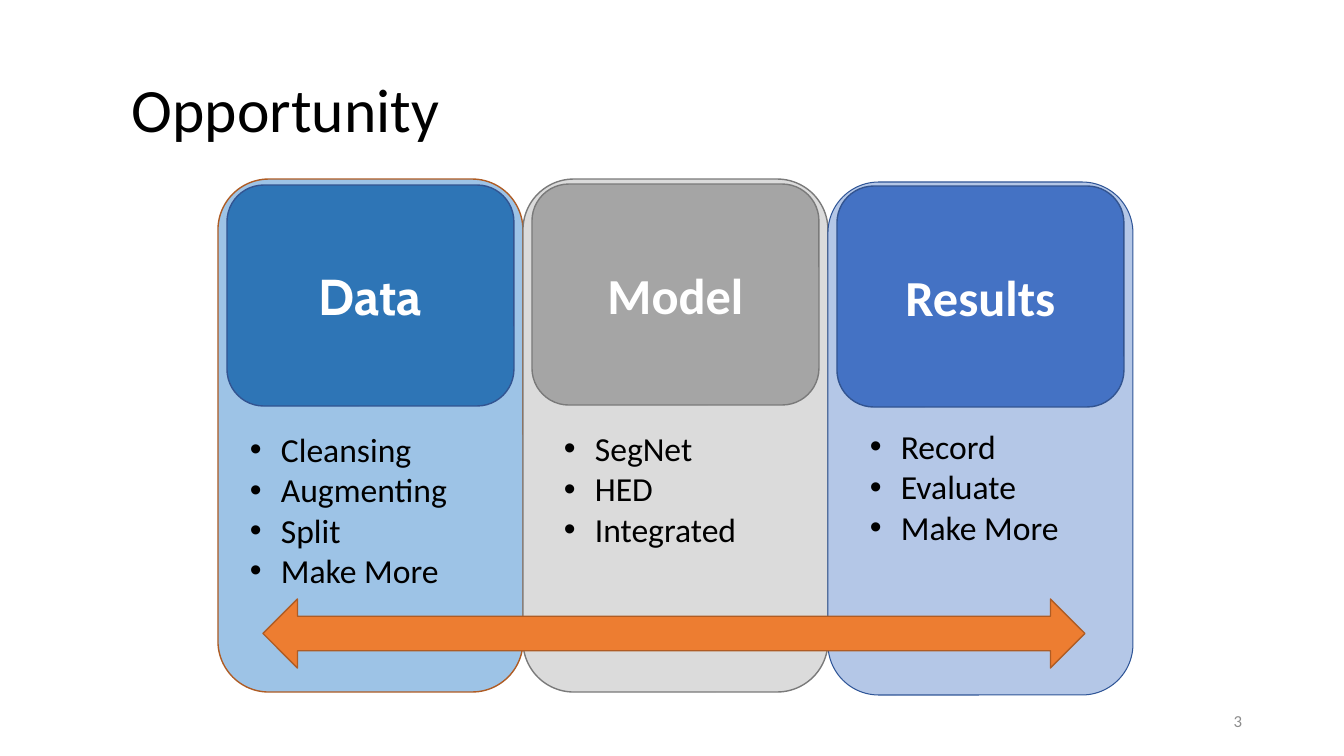
from dataclasses import dataclass

from lxml.etree import SubElement
from pptx import Presentation
from pptx.dml.color import RGBColor
from pptx.enum.shapes import MSO_SHAPE
from pptx.enum.text import MSO_ANCHOR, PP_ALIGN
from pptx.oxml.ns import qn
from pptx.util import Emu, Pt

TITLE = "Opportunity"
PAGE = "3"
# fill and line colours, line width, panel top, heading top, list left and top in px
COLUMNS = [
    dict(heading="Data", font="Cabin", items=["Cleansing", "Augmenting", "Split", "Make More"],
         panel=("9DC3E6", "AF5C24", 1), header=("2E75B6", "325491", 1),
         panel_top=179, header_top=185, list_at=(240, 424)),
    dict(heading="Model", font="Calibri", items=["SegNet", "HED", "Integrated"],
         panel=("DBDBDB", "7A7A7A", 1), header=("A5A5A5", "7A7A7A", 1),
         panel_top=179, header_top=184, list_at=(554, 423)),
    dict(heading="Results", font="Calibri", items=["Record", "Evaluate", "Make More"],
         panel=("B4C7E7", "2F5597", 0.75), header=("4472C4", "325491", 1),
         panel_top=182, header_top=186, list_at=(860, 421)),
]


@dataclass(frozen=True)
class Theme:
    font: str = "Calibri"
    text: str = "000000"
    heading: str = "FFFFFF"
    page: str = "8C8C8C"
    arrow: tuple = ("ED7D31", "AF5C24", 1)
    title_size: int = 44
    heading_size: int = 36
    list_size: int = 24
    page_size: int = 12


T = Theme()
PANEL_LEFT, PANEL_W, PANEL_H = 218, 305, 513
HEADER_INSET, HEADER_H = 9, 221
LIST_W, LINE_H, LIST_PAD, INDENT = 242, 41, 10, 31


def px(n):
    return Emu(round(n * 914400 / 100.8))


def add_bullet(p):
    pPr = p._p.get_or_add_pPr()
    pPr.set("marL", str(px(INDENT)))
    pPr.set("indent", str(-px(INDENT)))
    SubElement(pPr, qn("a:buFont")).set("typeface", "Arial")
    SubElement(pPr, qn("a:buChar")).set("char", "•")


def write(s, lines, *, size, color=T.text, font=T.font, bold=False, align=PP_ALIGN.LEFT,
          anchor=MSO_ANCHOR.MIDDLE, spacing=1.0, bullets=False):
    tf = s.text_frame
    tf.word_wrap = True
    tf.vertical_anchor = anchor
    for i, line in enumerate(lines):
        p = tf.paragraphs[0] if i == 0 else tf.add_paragraph()
        p.alignment = align
        p.line_spacing = spacing
        if bullets:
            add_bullet(p)
        r = p.add_run()
        r.text = line
        r.font.name = font
        r.font.size = Pt(size)
        r.font.bold = bold
        r.font.color.rgb = RGBColor.from_string(color)


def add_box(sp, *box):
    return sp.add_textbox(*map(px, box))


def add_block(sp, kind, box, style):
    fill, line, width = style
    s = sp.add_shape(kind, *map(px, box))
    s.shadow.inherit = False
    s.fill.solid()
    s.fill.fore_color.rgb = RGBColor.from_string(fill)
    s.line.color.rgb = RGBColor.from_string(line)
    s.line.width = Pt(width)
    return s


def main():
    prs = Presentation()
    prs.slide_width, prs.slide_height = px(1344), px(756)
    sp = prs.slides.add_slide(prs.slide_layouts[6]).shapes

    write(add_box(sp, 122, 40, 1130, 146), [TITLE], size=T.title_size, spacing=0.9)

    for i, col in enumerate(COLUMNS):
        left = PANEL_LEFT + i * PANEL_W
        add_block(sp, MSO_SHAPE.ROUNDED_RECTANGLE,
                  (left, col["panel_top"], PANEL_W, PANEL_H), col["panel"])
        header = add_block(sp, MSO_SHAPE.ROUNDED_RECTANGLE,
                           (left + HEADER_INSET, col["header_top"],
                            PANEL_W - 2 * HEADER_INSET, HEADER_H), col["header"])
        write(header, [col["heading"]], size=T.heading_size, color=T.heading,
              font=col["font"], bold=True, align=PP_ALIGN.CENTER)

    add_block(sp, MSO_SHAPE.LEFT_RIGHT_ARROW, (263, 599, 822, 69), T.arrow)

    for col in COLUMNS:
        height = len(col["items"]) * LINE_H + LIST_PAD
        write(add_box(sp, *col["list_at"], LIST_W, height), col["items"],
              size=T.list_size, anchor=MSO_ANCHOR.TOP, bullets=True)

    write(add_box(sp, 950, 701, 302, 40), [PAGE], size=T.page_size, color=T.page,
          align=PP_ALIGN.RIGHT)
    prs.save("out.pptx")


if __name__ == "__main__":
    main()
